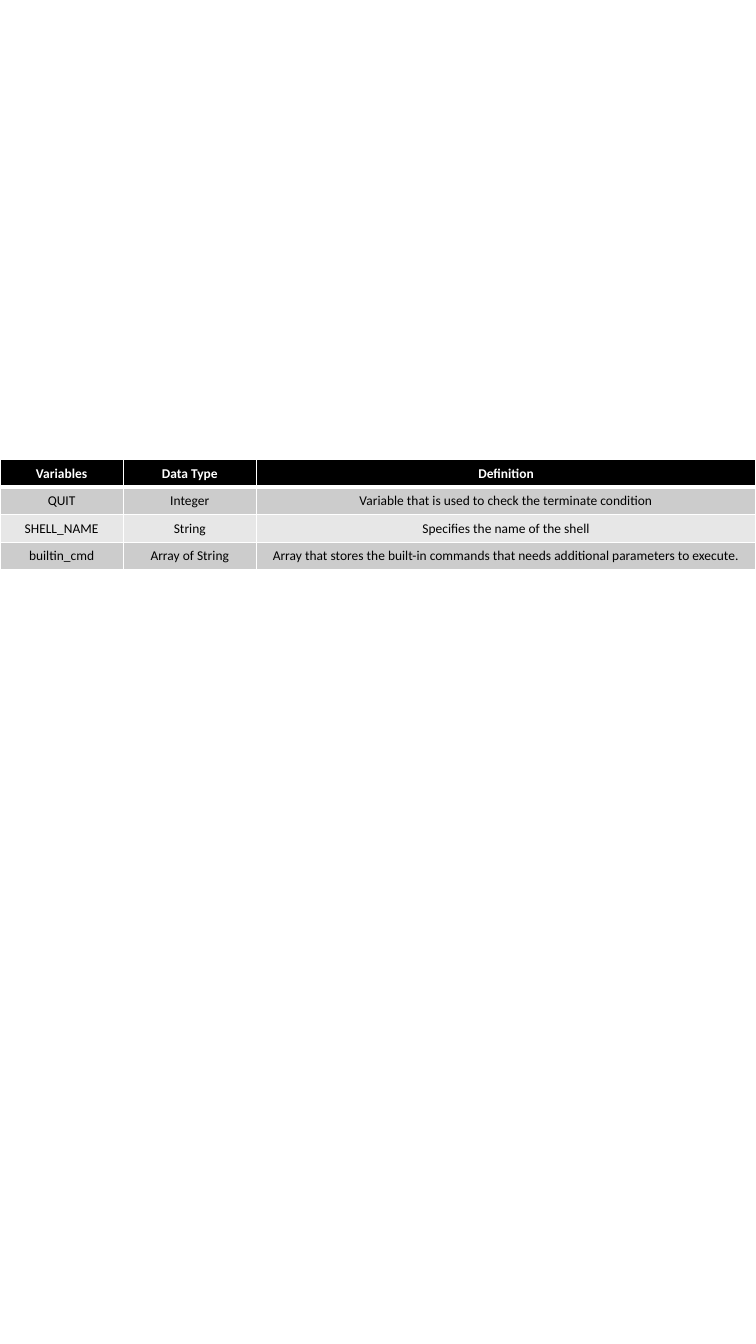
from lxml import etree
from pptx import Presentation
from pptx.dml.color import RGBColor
from pptx.enum.text import MSO_ANCHOR, PP_ALIGN
from pptx.oxml.ns import qn
from pptx.util import Pt

CENTER = PP_ALIGN.CENTER
MIDDLE = MSO_ANCHOR.MIDDLE

COLORS = {
    "header": "000000",
    "header_text": "FFFFFF",
    "body_text": "000000",
    "odd_row": "CCCCCC",
    "even_row": "E7E7E7",
    "border": "FFFFFF",
}
COLUMN_WIDTHS = [73.4, 79.2, 297.4]
ROW_HEIGHT = 16.4
TABLE_TOP = 273.6
THIN, THICK = 1, 3

VARIABLES = [
    ["Variables", "Data Type", "Definition"],
    ["QUIT", "Integer", "Variable that is used to check the terminate condition"],
    ["SHELL_NAME", "String", "Specifies the name of the shell"],
    ["builtin_cmd", "Array of String",
     "Array that stores the built-in commands that needs additional parameters to execute."],
]


class SlideBuilder:
    """Holds the text style and the current slide."""

    def __init__(self, slide, font_name, font_size):
        """Keep the slide and its font."""
        self.slide = slide
        self.font_name = font_name
        self.font_size = font_size

    def table(self, left, top, widths, row_height, rows):
        """Add a table with a dark header and banded body rows."""
        table = self.slide.shapes.add_table(
            len(rows), len(widths), Pt(left), Pt(top),
            Pt(sum(widths)), Pt(row_height * len(rows))).table
        for column, width in zip(table.columns, widths):
            column.width = Pt(width)
        for row_index, texts in enumerate(rows):
            table.rows[row_index].height = Pt(row_height)
            for column_index, text in enumerate(texts):
                self.cell(table.cell(row_index, column_index), text, row_index)

    def cell(self, cell, text, row_index):
        """Write and style one table cell."""
        is_header = row_index == 0
        band = "odd_row" if row_index % 2 else "even_row"
        self.border(cell, "lnL", THIN)
        self.border(cell, "lnR", THIN)
        self.border(cell, "lnT", THICK if row_index == 1 else THIN)
        self.border(cell, "lnB", THICK if is_header else THIN)
        cell.fill.solid()
        cell.fill.fore_color.rgb = RGBColor.from_string(COLORS["header" if is_header else band])
        cell.vertical_anchor = MIDDLE
        cell.margin_left = cell.margin_right = Pt(4.4)
        cell.margin_top = cell.margin_bottom = Pt(2.2)
        cell.text = text
        paragraph = cell.text_frame.paragraphs[0]
        paragraph.alignment = CENTER
        font = paragraph.font
        font.name = self.font_name
        font.size = Pt(self.font_size)
        font.bold = is_header
        font.color.rgb = RGBColor.from_string(
            COLORS["header_text" if is_header else "body_text"])

    def border(self, cell, side, width):
        """Draw one side of a cell; call before the cell is filled."""
        properties = cell._tc.get_or_add_tcPr()
        line = etree.SubElement(properties, qn(f"a:{side}"), w=str(Pt(width)))
        fill = etree.SubElement(line, qn("a:solidFill"))
        etree.SubElement(fill, qn("a:srgbClr"), val=COLORS["border"])


def main():
    """Build the slide with the table of shell variables."""
    presentation = Presentation()
    presentation.slide_width = Pt(450)
    presentation.slide_height = Pt(800)
    slide = presentation.slides.add_slide(presentation.slide_layouts[6])
    builder = SlideBuilder(slide, "Calibri", 8)
    builder.table(0, TABLE_TOP, COLUMN_WIDTHS, ROW_HEIGHT, VARIABLES)
    presentation.save("out.pptx")


main()
